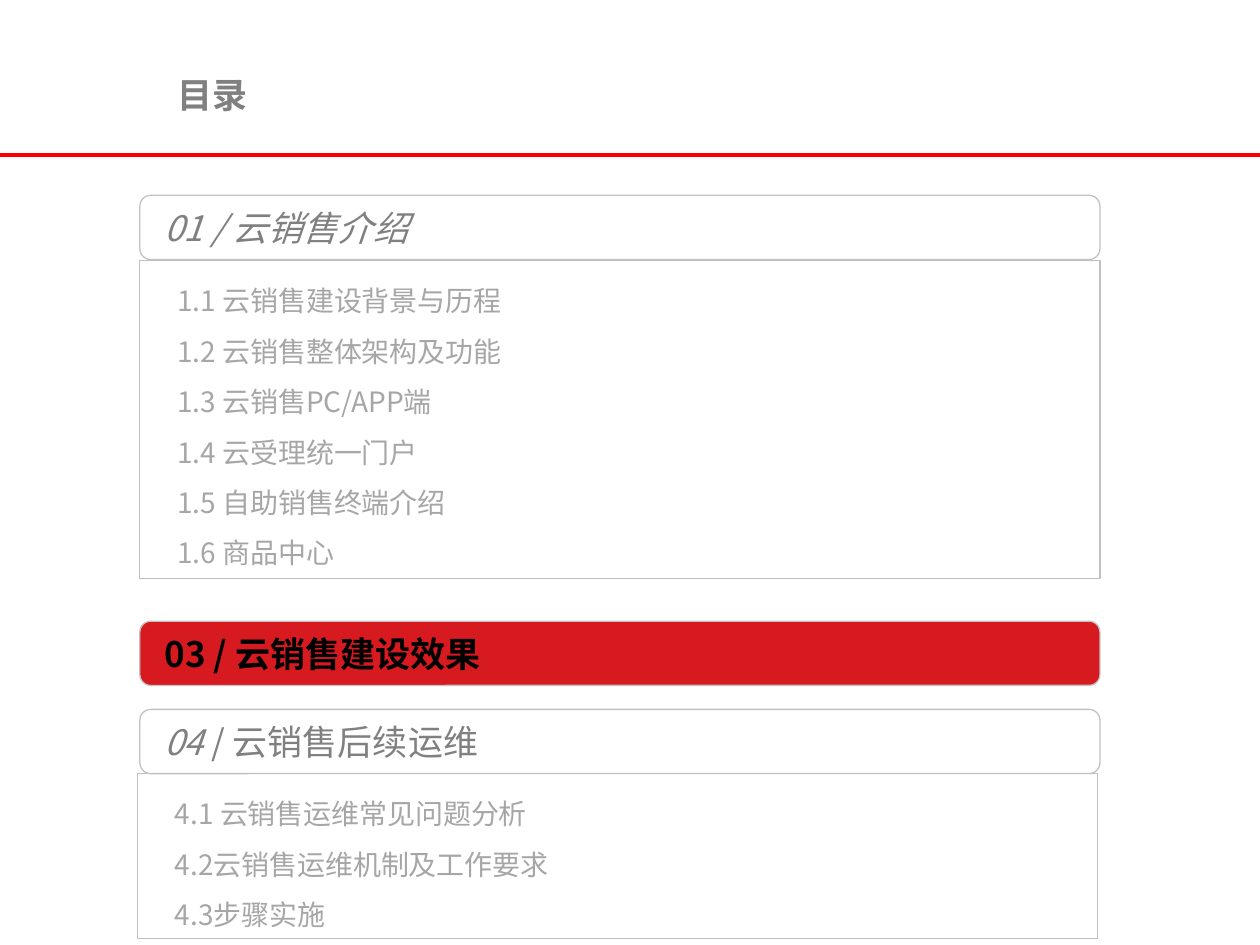
from dataclasses import dataclass

import lxml.etree
import pptx
import pptx.dml.color
import pptx.enum.shapes
import pptx.enum.text
import pptx.oxml.ns
import pptx.util

Inches = pptx.util.Inches
Pt = pptx.util.Pt
Shapes = pptx.enum.shapes.MSO_SHAPE
Anchor = pptx.enum.text.MSO_ANCHOR
qn = pptx.oxml.ns.qn

FONT = "Noto Sans CJK SC"
SLIDE_WIDTH, SLIDE_HEIGHT = 10, 7.5
COLUMN_LEFT, COLUMN_WIDTH = 1.11, 7.62
BANNER_HEIGHT = 0.51
RULE_Y = 1.23
GRAY, LIGHT_GRAY = "808080", "A6A6A6"


@dataclass
class Section:
    top: float
    runs: list[tuple[str, dict]]
    topics: tuple[str, ...] = ()
    topics_left: float = COLUMN_LEFT
    topics_top: float = 0
    topics_height: float = 0
    fill: str = "FFFFFF"
    color: str = GRAY


SECTIONS = [
    Section(1.55, [("01 / 云销售介绍", {"italic": True})],
            ("1.1 云销售建设背景与历程", "1.2 云销售整体架构及功能",
             "1.3 云销售PC/APP端", "1.4 云受理统一门户",
             "1.5 自助销售终端介绍", "1.6 商品中心"),
            topics_top=2.07, topics_height=2.52),
    Section(4.93, [("03 / 云销售建设效果", {"bold": True})],
            fill="D71A20", color="000000"),
    Section(5.63, [("04 ", {"italic": True}), ("/ 云销售后续运维", {})],
            ("4.1 云销售运维常见问题分析", "4.2云销售运维机制及工作要求", "4.3步骤实施"),
            topics_left=1.09, topics_top=6.14, topics_height=1.31),
]


def rgb(value: str) -> pptx.dml.color.RGBColor:
    return pptx.dml.color.RGBColor.from_string(value)


def add_run(paragraph, text: str, size: float, color: str, **styles) -> None:
    run = paragraph.add_run()
    run.text = text
    for name, value in {"name": FONT, "size": Pt(size), **styles}.items():
        setattr(run.font, name, value)
    run.font.color.rgb = rgb(color)
    latin = run.font._element.find(qn("a:latin"))
    east_asian = lxml.etree.Element(qn("a:ea"), typeface=FONT)
    latin.addnext(east_asian)


def add_panel(slide, kind, left: float, top: float, height: float, line: str):
    panel = slide.shapes.add_shape(
        kind, *map(Inches, (left, top, COLUMN_WIDTH, height)))
    panel.shadow.inherit = False
    panel.line.color.rgb = rgb(line)
    panel.line.width = Pt(0.75)
    panel.text_frame.word_wrap = True
    panel.text_frame.paragraphs[0].alignment = pptx.enum.text.PP_ALIGN.LEFT
    return panel


def add_banner(slide, section: Section) -> None:
    banner = add_panel(slide, Shapes.ROUNDED_RECTANGLE, COLUMN_LEFT,
                       section.top, BANNER_HEIGHT, "C2C2C2")
    banner.adjustments[0] = 0.17
    banner.fill.solid()
    banner.fill.fore_color.rgb = rgb(section.fill)
    banner.text_frame.vertical_anchor = Anchor.MIDDLE
    banner.text_frame.margin_left = Inches(0.17)
    for text, styles in section.runs:
        add_run(banner.text_frame.paragraphs[0], text, 20, section.color, **styles)


def add_topics(slide, section: Section) -> None:
    panel = add_panel(slide, Shapes.RECTANGLE, section.topics_left,
                      section.topics_top, section.topics_height, "BFBFBF")
    panel.fill.background()
    frame = panel.text_frame
    frame.vertical_anchor = Anchor.TOP
    for index, topic in enumerate(section.topics):
        paragraph = frame.add_paragraph() if index else frame.paragraphs[0]
        paragraph.alignment = pptx.enum.text.PP_ALIGN.LEFT
        # Even line pitch of 0.4 inch
        paragraph.line_spacing = Pt(28.8)
        paragraph._p.get_or_add_pPr().set("marL", str(Inches(0.2)))
        add_run(paragraph, topic, 16, LIGHT_GRAY)


def add_heading(slide) -> None:
    rule = slide.shapes.add_connector(
        pptx.enum.shapes.MSO_CONNECTOR.STRAIGHT,
        0, Inches(RULE_Y), Inches(SLIDE_WIDTH), Inches(RULE_Y))
    rule.line.color.rgb = rgb("FF0000")
    rule.line.width = Pt(2)
    lxml.etree.SubElement(rule._element.spPr, qn("a:effectLst"))

    title = slide.shapes.add_textbox(*map(Inches, (1.31, 0.44, 6.52, 0.62)))
    title.text_frame.word_wrap = True
    title.text_frame.vertical_anchor = Anchor.MIDDLE
    add_run(title.text_frame.paragraphs[0], "目录", 20, GRAY, bold=True)


def main() -> None:
    deck = pptx.Presentation()
    deck.slide_width = Inches(SLIDE_WIDTH)
    deck.slide_height = Inches(SLIDE_HEIGHT)
    slide = deck.slides.add_slide(deck.slide_layouts[6])
    add_heading(slide)
    for section in SECTIONS:
        add_banner(slide, section)
        if section.topics:
            add_topics(slide, section)
    deck.save("out.pptx")


if __name__ == "__main__":
    main()
